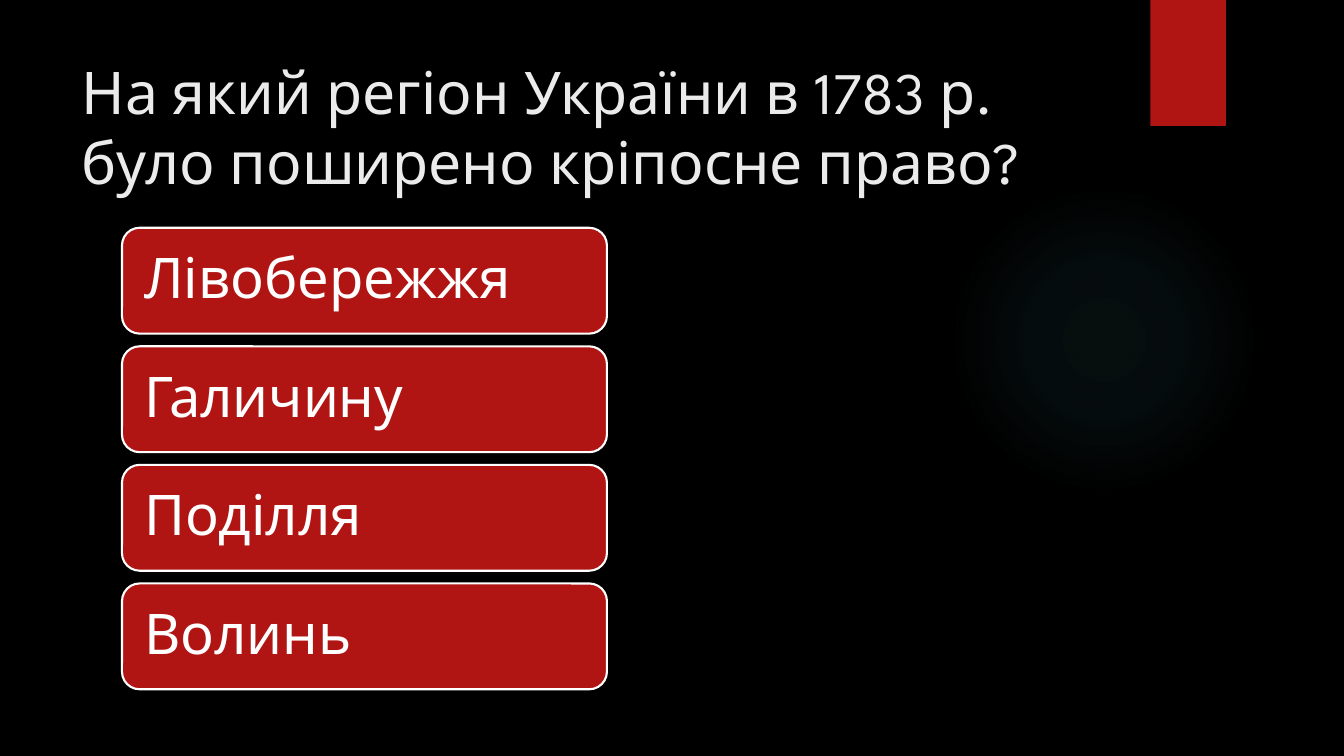
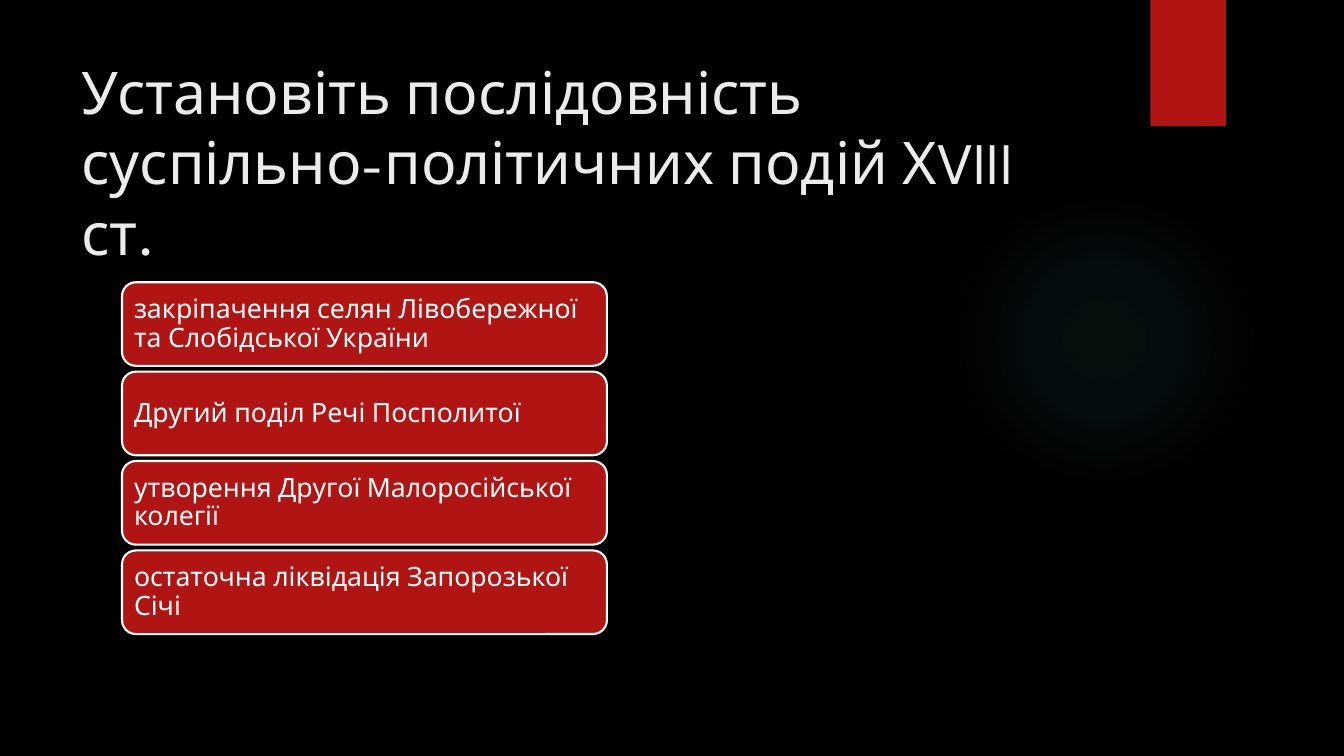
"""Build two Ukrainian history quiz slides with answer boxes."""
from lxml.etree import SubElement
from pptx import Presentation
from pptx.dml.color import RGBColor
from pptx.enum.shapes import MSO_SHAPE
from pptx.enum.text import MSO_ANCHOR, MSO_AUTO_SIZE, PP_ALIGN
from pptx.oxml.ns import qn
from pptx.util import Inches, Pt

BLACK = RGBColor(0x00, 0x00, 0x00)
RED = RGBColor(0xB0, 0x15, 0x13)
WHITE = RGBColor(0xFF, 0xFF, 0xFF)
TITLE_GREY = RGBColor(0xEB, 0xEB, 0xEB)
GLOW_TEAL = RGBColor(0x50, 0xB9, 0xC1)
GLOW_STOPS = [(0, 7), (36, 6), (69, 0)]
FONT = "League Spartan"
ANSWER_LEFT, ANSWER_WIDTH = 1.21, 4.81

QUESTIONS = [
    {
        "title": "На який регіон України в 1783 р. було поширено кріпосне право?",
        "answers": ["Лівобережжя", "Галичину", "Поділля", "Волинь"],
        "top": 2.26, "height": 1.05, "pitch": 1.176, "inset": 0.17, "size": 40,
    },
    {
        "title": "Установіть послідовність суспільно-політичних подій ХVIII ст.",
        "answers": [
            "закріпачення селян Лівобережної та Слобідської України",
            "Другий поділ Речі Посполитої",
            "утворення Другої Малоросійської колегії",
            "остаточна ліквідація Запорозької Січі",
        ],
        "top": 2.8, "height": 0.83, "pitch": 0.887, "inset": 0.08, "size": 19,
    },
]


def add_panel(slide, preset, left, top, width, height):
    """Add a red shape without outline or shadow."""
    panel = slide.shapes.add_shape(
        preset, Inches(left), Inches(top), Inches(width), Inches(height))
    panel.shadow.inherit = False
    panel.fill.solid()
    panel.fill.fore_color.rgb = RED
    panel.line.fill.background()
    return panel


def fill_with_glow(ellipse):
    """Replace the fill with a transparent radial gradient."""
    properties = ellipse.fill._xPr
    solid = properties.find(qn("a:solidFill"))
    gradient = SubElement(properties, qn("a:gradFill"))
    properties.replace(solid, gradient)
    stops = SubElement(gradient, qn("a:gsLst"))
    for position, opacity in GLOW_STOPS:
        stop = SubElement(stops, qn("a:gs"), pos=str(position * 1000))
        color = SubElement(stop, qn("a:srgbClr"), val=str(GLOW_TEAL))
        SubElement(color, qn("a:alpha"), val=str(opacity * 1000))
    radial = SubElement(gradient, qn("a:path"), path="circle")
    SubElement(radial, qn("a:fillToRect"), l="50000", t="50000", r="50000", b="50000")


def style_layout(layout, slide):
    """Give the layout its background, title place, glow and red band."""
    layout.background.fill.solid()
    layout.background.fill.fore_color.rgb = BLACK
    title = layout.placeholders[0]
    title.left, title.top = Inches(0.71), Inches(0.5)
    title.width, title.height = Inches(10.29), Inches(1.53)
    glow = add_panel(slide, MSO_SHAPE.OVAL, 9.41, 1.83, 3.08, 3.08)
    fill_with_glow(glow)
    band = add_panel(slide, MSO_SHAPE.RECTANGLE, 11.41, 0, 0.75, 1.25)
    for decoration in (glow, band):
        layout.shapes._spTree.append(decoration._element)


def write(frame, text, size, color, anchor):
    """Write one left-aligned paragraph and return it."""
    frame.word_wrap = True
    frame.auto_size = MSO_AUTO_SIZE.NONE
    frame.vertical_anchor = anchor
    paragraph = frame.paragraphs[0]
    paragraph.text = text
    paragraph.alignment = PP_ALIGN.LEFT
    paragraph.font.name = FONT
    paragraph.font.size = Pt(size)
    paragraph.font.color.rgb = color
    return paragraph


def add_question(slide, question):
    """Fill in the title and stack the answer boxes."""
    write(slide.shapes.title.text_frame, question["title"], 42, TITLE_GREY, MSO_ANCHOR.TOP)
    size, inset = question["size"], Inches(question["inset"])
    for row, answer in enumerate(question["answers"]):
        box = add_panel(slide, MSO_SHAPE.ROUNDED_RECTANGLE, ANSWER_LEFT,
                        question["top"] + row * question["pitch"],
                        ANSWER_WIDTH, question["height"])
        box.line.color.rgb = WHITE
        box.line.width = Pt(1.5)
        frame = box.text_frame
        frame.margin_left = frame.margin_right = inset
        frame.margin_top = frame.margin_bottom = inset
        paragraph = write(frame, answer, size, WHITE, MSO_ANCHOR.MIDDLE)
        paragraph.line_spacing = 0.9
        paragraph.space_after = Pt(round(size * 0.35))


def main():
    """Create and save the presentation."""
    deck = Presentation()
    deck.slide_width, deck.slide_height = Inches(13.33), Inches(7.5)
    layout = deck.slide_layouts.get_by_name("Title Only")
    slides = [deck.slides.add_slide(layout) for _ in QUESTIONS]
    style_layout(layout, slides[0])
    for slide, question in zip(slides, QUESTIONS):
        add_question(slide, question)
    deck.save("out.pptx")


if __name__ == "__main__":
    main()
